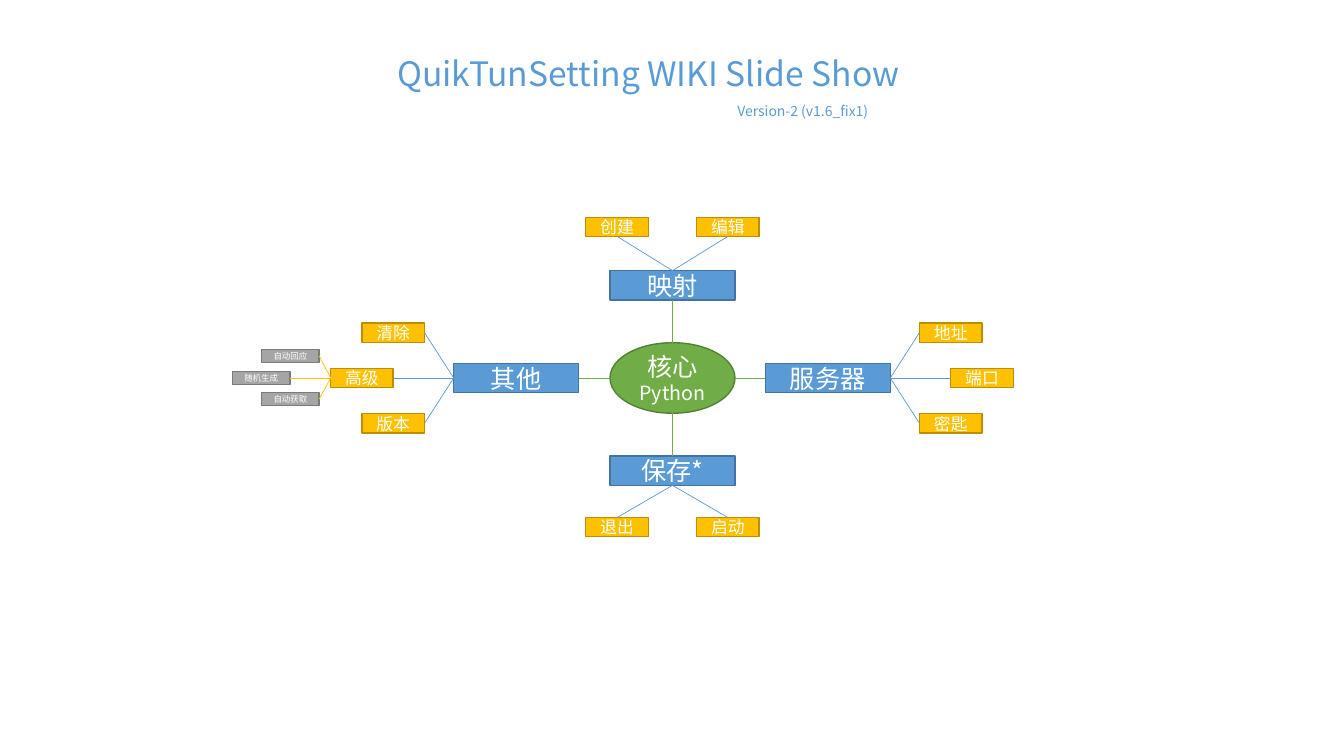
from pptx import Presentation
from pptx import util as u
from pptx.dml.color import RGBColor
from pptx.enum import shapes, text
from pptx.oxml import ns
from lxml import etree

FONT = "Noto Sans CJK SC"
COLORS = {
    "white": "FFFFFF",
    "blue": "5B9BD5", "blue_edge": "43739E",
    "green": "70AD47", "green_edge": "538035",
    "gold": "FFC000", "gold_edge": "BD8E00",
    "gray": "A5A5A5", "gray_edge": "7A7A7A",
}
CENTER_X, CENTER_Y = 6.67, 3.75
LEVELS = {
    "hub": ("green", 1.24, 0.7, 18),
    "topic": ("blue", 1.24, 0.29, 18),
    "leaf": ("gold", 0.62, 0.19, 12),
    "detail": ("gray", 0.57, 0.13, 6),
}
SIDES = {"top": (0, -1), "bottom": (0, 1), "left": (-1, 0), "right": (1, 0)}
OPPOSITE = {"top": "bottom", "bottom": "top", "left": "right", "right": "left"}
BRANCHES = [
    ("top", "映射", 0, -0.92, [("创建", -0.55, -1.5), ("编辑", 0.55, -1.5)]),
    ("right", "服务器", 1.54, 0,
     [("地址", 2.76, -0.45), ("端口", 3.07, 0), ("密匙", 2.76, 0.45)]),
    ("bottom", "保存*", 0, 0.92, [("退出", -0.55, 1.48), ("启动", 0.55, 1.48)]),
    ("left", "其他", -1.55, 0,
     [("清除", -2.77, -0.45), ("高级", -3.08, 0), ("版本", -2.77, 0.45)]),
]
DETAILS = {
    "高级": [("自动回应", -3.79, -0.22), ("随机生成", -4.08, 0), ("自动获取", -3.79, 0.21)],
}


def rgb(name):
    return RGBColor.from_string(COLORS[name])


def format_runs(paragraph, size, color, alignment):
    paragraph.alignment = alignment
    paragraph.line_spacing = 1.0
    paragraph.space_before = u.Pt(0)
    for run in paragraph.runs:
        run.font.size = u.Pt(size)
        run.font.name = FONT
        run.font.color.rgb = rgb(color)
        east_asian = etree.SubElement(run.font._element, ns.qn("a:ea"))
        east_asian.set("typeface", FONT)


def add_heading(placeholder, wording, box, size, alignment):
    placeholder.left, placeholder.top, placeholder.width, placeholder.height = map(u.Inches, box)
    frame = placeholder.text_frame
    frame.text = wording
    frame.word_wrap = True
    frame.auto_size = text.MSO_AUTO_SIZE.NONE
    frame.vertical_anchor = text.MSO_ANCHOR.TOP
    format_runs(frame.paragraphs[0], size, "blue", alignment)


def add_node(slide, level, wording, offset_x=0, offset_y=0):
    color, width, height, size = LEVELS[level]
    preset = shapes.MSO_SHAPE.OVAL if level == "hub" else shapes.MSO_SHAPE.RECTANGLE
    node = slide.shapes.add_shape(
        preset,
        u.Inches(CENTER_X + offset_x - width / 2),
        u.Inches(CENTER_Y + offset_y - height / 2),
        u.Inches(width), u.Inches(height))
    node.shadow.inherit = False
    node.fill.solid()
    node.fill.fore_color.rgb = rgb(color)
    node.line.color.rgb = rgb(color + "_edge")
    node.line.width = u.Pt(1)
    frame = node.text_frame
    frame.text = wording
    frame.word_wrap = True
    frame.vertical_anchor = text.MSO_ANCHOR.MIDDLE
    for paragraph in frame.paragraphs:
        format_runs(paragraph, size, "white", text.PP_ALIGN.CENTER)
    return node


def edge_point(node, side):
    step_x, step_y = SIDES[side]
    return (node.left + node.width * (1 + step_x) // 2,
            node.top + node.height * (1 + step_y) // 2)


def add_link(slide, parent, child, side, color):
    link = slide.shapes.add_connector(
        shapes.MSO_CONNECTOR.STRAIGHT,
        *edge_point(parent, side), *edge_point(child, OPPOSITE[side]))
    link.line.color.rgb = rgb(color)
    link.line.width = u.Pt(0.5)
    etree.SubElement(link._element.spPr, ns.qn("a:effectLst"))


def add_child(slide, parent, side, color, level, wording, offset_x, offset_y):
    child = add_node(slide, level, wording, offset_x, offset_y)
    add_link(slide, parent, child, side, color)
    return child


def add_mind_map(slide):
    hub = add_node(slide, "hub", "核心\nPython")
    hub.text_frame.paragraphs[1].runs[0].font.size = u.Pt(14)
    for side, name, topic_x, topic_y, leaves in BRANCHES:
        topic = add_child(slide, hub, side, "green", "topic", name, topic_x, topic_y)
        for leaf_name, leaf_x, leaf_y in leaves:
            leaf = add_child(slide, topic, side, "blue", "leaf", leaf_name, leaf_x, leaf_y)
            for detail in DETAILS.get(leaf_name, []):
                add_child(slide, leaf, side, "gold", "detail", *detail)


def main():
    presentation = Presentation()
    presentation.slide_width = u.Inches(13.33)
    presentation.slide_height = u.Inches(7.5)
    slide = presentation.slides.add_slide(presentation.slide_layouts[0])
    add_heading(slide.shapes.title, "QuikTunSetting WIKI Slide Show",
                (3.62, 0.47, 5.62, 0.5), 24, text.PP_ALIGN.CENTER)
    add_heading(slide.placeholders[1], "Version-2 (v1.6_fix1)",
                (7.03, 0.97, 1.68, 0.27), 10, text.PP_ALIGN.RIGHT)
    add_mind_map(slide)
    presentation.save("out.pptx")


main()
